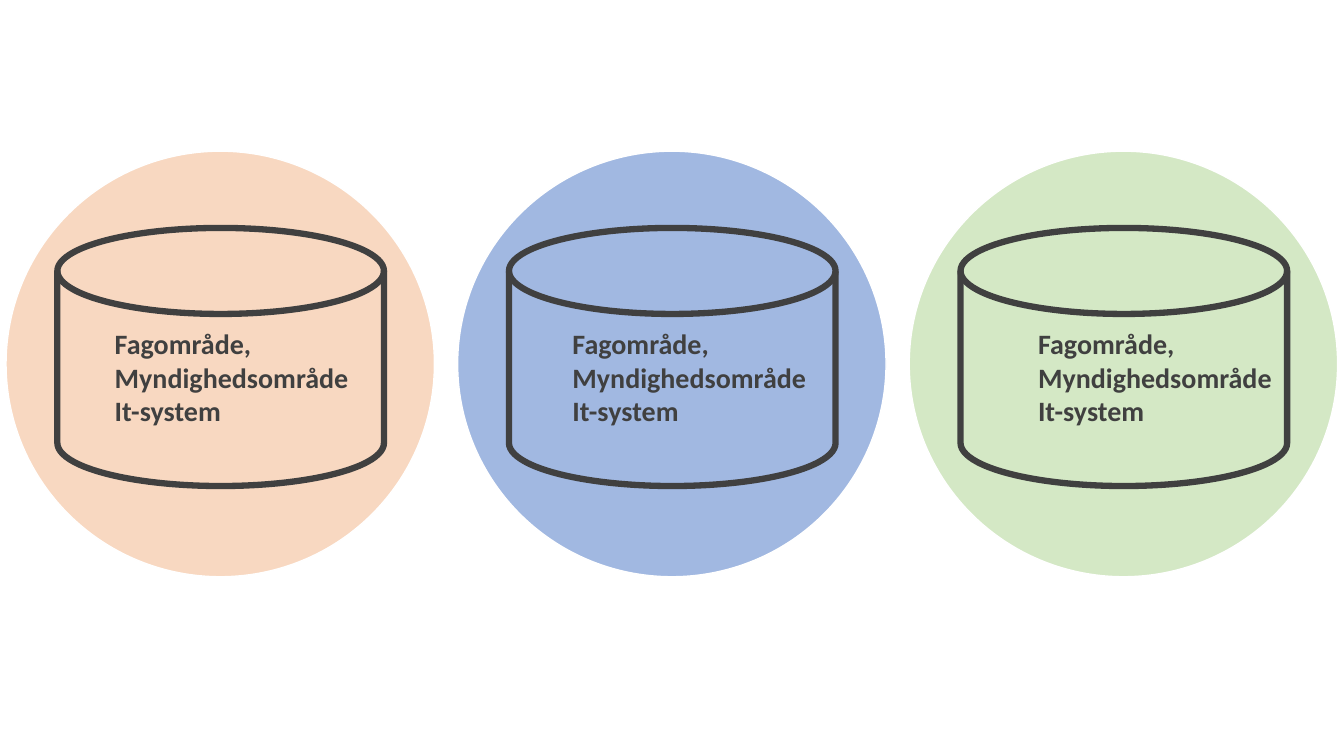
from pptx import Presentation
from pptx.dml.color import RGBColor
from pptx.enum.shapes import MSO_SHAPE
from pptx.enum.text import MSO_AUTO_SIZE
from pptx.util import Pt

DARK = "404040"
PITCH = 322.56
LABEL_LINES = ["Fagområde,", "Myndighedsområde", "It-system"]


def color(value):
    return RGBColor.from_string(value)


def add_outlined(kind, left, top, width, height, line_color, line_width):
    shape = page.shapes.add_shape(kind, Pt(left), Pt(top), Pt(width), Pt(height))
    shape.shadow.inherit = False
    shape.line.color.rgb = color(line_color)
    shape.line.width = Pt(line_width)
    return shape


deck = Presentation()
deck.slide_width, deck.slide_height = Pt(960), Pt(540)
page = deck.slides.add_slide(deck.slide_layouts[6])

# Coloured circles
for column, fill in enumerate(["F8D8C1", "A1B8E1", "D4E8C5"]):
    circle = add_outlined(MSO_SHAPE.OVAL, 4.32 + column * PITCH, 108, 306, 304, "FFFFFF", 1)
    circle.fill.solid()
    circle.fill.fore_color.rgb = color(fill)

# Database cylinders
for column in range(3):
    cylinder = add_outlined(MSO_SHAPE.FLOWCHART_MAGNETIC_DISK, 41 + column * PITCH, 162.8,
                            233.3, 184.4, DARK, 4.5)
    cylinder.fill.background()

# Labels
for left in (74.9, 401.8, 734.4):
    box = page.shapes.add_textbox(Pt(left), Pt(229.7), Pt(189.4), Pt(80))
    frame = box.text_frame
    frame.word_wrap = True
    frame.auto_size = MSO_AUTO_SIZE.SHAPE_TO_FIT_TEXT
    for index, line in enumerate(LABEL_LINES):
        para = frame.add_paragraph() if index else frame.paragraphs[0]
        span = para.add_run()
        span.text = line
        span.font.name = "Calibri"
        span.font.size = Pt(20)
        span.font.bold = True
        span.font.color.rgb = color(DARK)

deck.save("out.pptx")
